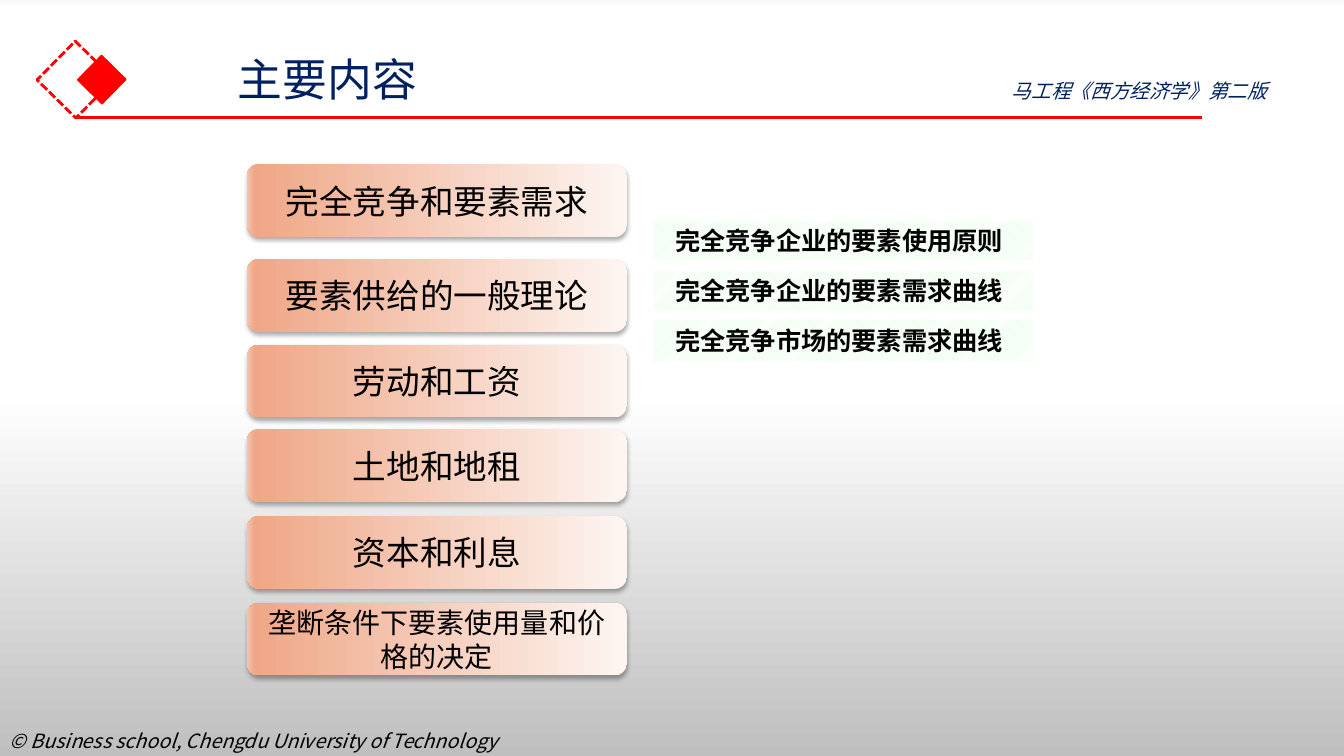
from lxml import etree
from pptx import Presentation
from pptx import util as u
from pptx.dml.color import RGBColor
from pptx.enum import dml, shapes, text
from pptx.oxml.ns import qn

COLORS = {
    "red": "FF0000", "navy": "002060", "black": "000000", "white": "FFFFFF",
    "mint": "CCFFCC", "cream": "FDF5F2", "salmon": "EFA787", "peach": "F4C4AF",
    "mist": "F9F9F9", "silver": "BFBFBF",
}
CELL = 0.1
COLUMNS, ROWS = 133.33, 75
CARD_LEFT, CARD_WIDTH, CARD_HEIGHT = 24.5, 37.7, 7.2
DETAIL_LEFT = 64.8
TOPICS = [
    ("完全竞争和要素需求", 16.3, 24),
    ("要素供给的一般理论", 25.7, 24),
    ("劳动和工资", 34.2, 24),
    ("土地和地租", 42.6, 24),
    ("资本和利息", 51.2, 24),
    ("垄断条件下要素使用量和价格的决定", 59.8, 20),
]
DETAILS = [
    ("完全竞争企业的要素使用原则", 21.9, 3.9),
    ("完全竞争企业的要素需求曲线", 26.9, 3.9),
    ("完全竞争市场的要素需求曲线", 31.7, 4.2),
]


def cells(*counts):
    return [u.Inches(count * CELL) for count in counts]


def color(name):
    return RGBColor.from_string(COLORS[name])


def add_color(parent, name):
    return etree.SubElement(parent, qn("a:srgbClr"), val=COLORS[name])


def write(shape, words, size, ink="black", font="Noto Sans CJK SC", bold=False,
          italic=False, align=text.PP_ALIGN.LEFT, anchor=text.MSO_ANCHOR.TOP, wrap=True):
    frame = shape.text_frame
    frame.word_wrap = wrap
    frame.vertical_anchor = anchor
    paragraph = frame.paragraphs[0]
    paragraph.alignment = align
    run = paragraph.add_run()
    run.text = words
    run.font.size = u.Pt(size)
    run.font.bold = bold
    run.font.italic = italic
    run.font.color.rgb = color(ink)
    run.font.name = font
    etree.SubElement(run.font._element, qn("a:ea"), typeface="Noto Sans CJK SC")


def replace_with_gradient(solid, stops, angle):
    gradient = etree.Element(qn("a:gradFill"), rotWithShape="1")
    stop_list = etree.SubElement(gradient, qn("a:gsLst"))
    for position, name in stops:
        add_color(etree.SubElement(stop_list, qn("a:gs"), pos=str(position * 1000)), name)
    etree.SubElement(gradient, qn("a:lin"), ang=str(angle * 60000), scaled="0")
    solid.getparent().replace(solid, gradient)


class SlideBuilder:
    def __init__(self, presentation):
        self.slide = presentation.slides.add_slide(presentation.slide_layouts[6])

    def background(self, stops, angle):
        self.slide.background.fill.solid()
        solid = self.slide.element.find(".//" + qn("p:bgPr")).find(qn("a:solidFill"))
        replace_with_gradient(solid, stops, angle)

    def box(self, kind, left, top, width, height):
        shape = self.slide.shapes.add_shape(kind, *cells(left, top, width, height))
        shape.shadow.inherit = False
        shape.fill.background()
        shape.line.fill.background()
        return shape

    def diamond(self, left, top, side, weight, fill=None, dash=None):
        shape = self.box(shapes.MSO_SHAPE.RECTANGLE, left, top, side, side)
        shape.rotation = 314.5
        shape.line.color.rgb = color("red")
        shape.line.width = u.Pt(weight)
        if fill:
            shape.fill.solid()
            shape.fill.fore_color.rgb = color(fill)
        if dash:
            shape.line.dash_style = dash

    def rule(self, left, top, right):
        line = self.slide.shapes.add_connector(
            shapes.MSO_CONNECTOR.STRAIGHT, *cells(left, top, right, top))
        line.line.color.rgb = color("red")
        line.line.width = u.Pt(2.25)
        etree.SubElement(line._element.spPr, qn("a:effectLst"))

    def label(self, words, left, top, width, height, **style):
        shape = self.slide.shapes.add_textbox(*cells(left, top, width, height))
        write(shape, words, **style)
        shape.text_frame.auto_size = text.MSO_AUTO_SIZE.SHAPE_TO_FIT_TEXT

    def card(self, words, top, size):
        shape = self.box(shapes.MSO_SHAPE.ROUNDED_RECTANGLE,
                         CARD_LEFT, top, CARD_WIDTH, CARD_HEIGHT)
        shape.fill.solid()
        properties = shape._element.spPr
        replace_with_gradient(properties.find(qn("a:solidFill")),
                              [(0, "cream"), (98, "salmon"), (100, "peach")], 180)
        shadow = etree.SubElement(
            properties.find(qn("a:effectLst")), qn("a:outerShdw"), blurRad=str(u.Pt(3.5)),
            dist=str(u.Pt(2.2)), dir=str(90 * 60000), rotWithShape="0")
        etree.SubElement(add_color(shadow, "black"), qn("a:alpha"), val="32000")
        write(shape, words, size, align=text.PP_ALIGN.CENTER, anchor=text.MSO_ANCHOR.MIDDLE)

    def detail(self, words, top, height):
        shape = self.box(shapes.MSO_SHAPE.RECTANGLE, DETAIL_LEFT, top, CARD_WIDTH, height)
        shape.fill.patterned()
        shape.fill.pattern = dml.MSO_PATTERN.LIGHT_UPWARD_DIAGONAL
        shape.fill.fore_color.rgb = color("mint")
        shape.fill.back_color.rgb = color("white")
        frame = shape.text_frame
        frame.margin_left = frame.margin_right = u.Inches(0.22)
        write(shape, words, 18, font="Calibri", bold=True,
              align=text.PP_ALIGN.JUSTIFY, anchor=text.MSO_ANCHOR.MIDDLE)


def main():
    presentation = Presentation()
    presentation.slide_width, presentation.slide_height = cells(COLUMNS, ROWS)
    builder = SlideBuilder(presentation)
    builder.background([(0, "mist"), (1, "white"), (52, "white"), (100, "silver")], 90)
    builder.label("© Business school, Chengdu University of Technology",
                  0, 71.8, 53.1, 3.4, size=14, italic=True, wrap=False)
    builder.diamond(4.8, 5.2, 5.4, 2, dash=dml.MSO_LINE.SQUARE_DOT)
    builder.diamond(8.4, 6.2, 3.4, 1, fill="red")
    builder.rule(7.5, 11.7, 119.2)
    builder.label("主要内容", 22.6, 4.6, 49.6, 6.4, size=32, ink="navy")
    builder.label("马工程《西方经济学》第二版", 99.4, 7.3, 32.4, 3.4,
                  size=14, ink="navy", italic=True)
    for words, top, size in TOPICS:
        builder.card(words, top, size)
    for words, top, height in DETAILS:
        builder.detail(words, top, height)
    presentation.save("out.pptx")


if __name__ == "__main__":
    main()
